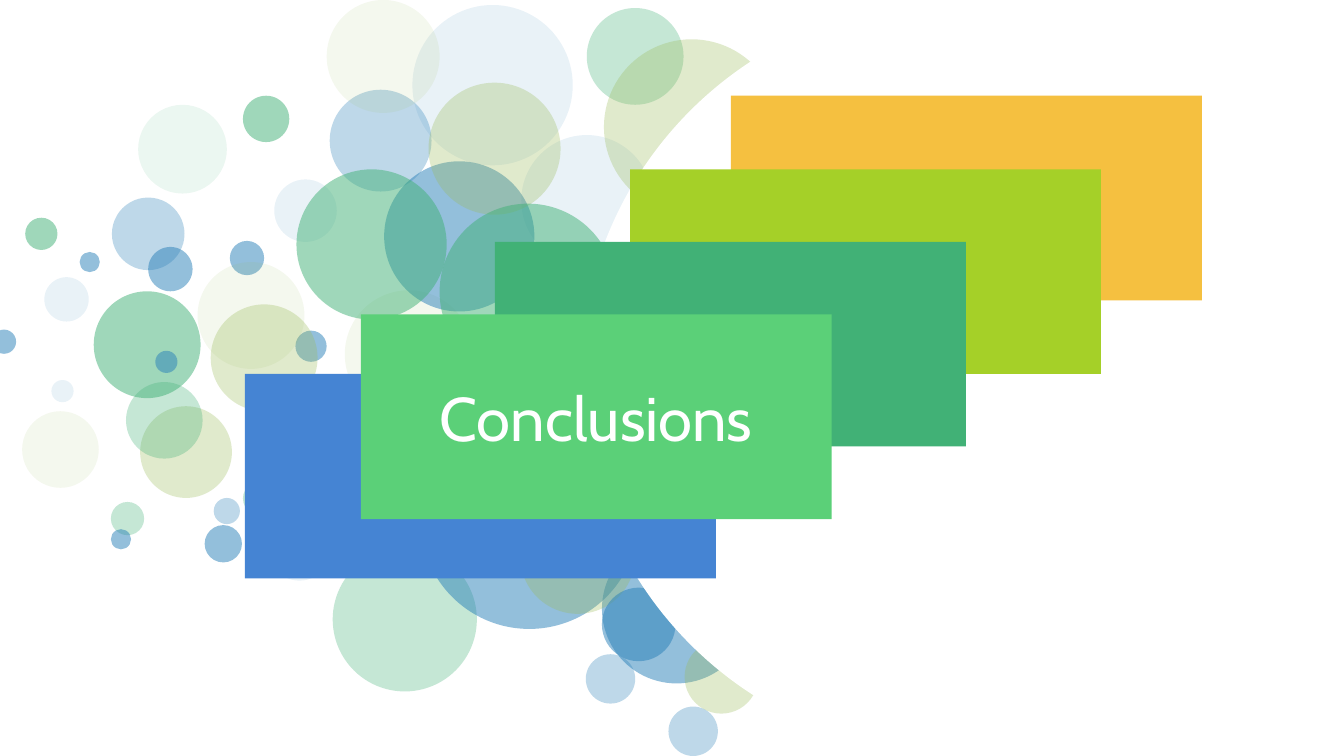
from typing import NamedTuple

import pptx
import pptx.dml.color
import pptx.enum.shapes
import pptx.enum.text
import pptx.oxml
import pptx.oxml.ns
import pptx.util
from pptx.util import Inches

BLUE, GREEN, OLIVE, WHITE = "2980B9", "41B176", "9BBB59", "FFFFFF"
SHAPE = pptx.enum.shapes.MSO_SHAPE
CARD_W, CARD_H = 4.67, 2.03


class Bubble(NamedTuple):
    x: float
    y: float
    size: float
    color: str
    alpha: int


class Card(NamedTuple):
    x: float
    y: float
    color: str
    text: str = ""


BACK_BUBBLES = [
    Bubble(6.24, 3.41, 2.37, GREEN, 30),
    Bubble(5.17, 1.34, 1.3, BLUE, 10),
    Bubble(3.27, 0.89, 1.01, BLUE, 30),
    Bubble(2.72, 1.78, 0.62, BLUE, 10),
    Bubble(3.3, 5.43, 1.43, GREEN, 30),
    Bubble(2.93, 3.28, 0.31, BLUE, 50),
    Bubble(4.84, 2.64, 1.75, BLUE, 50),
    Bubble(6.24, 1.78, 1.74, GREEN, 30),
    Bubble(3.42, 2.88, 1.27, OLIVE, 10),
    Bubble(4.09, 0.05, 1.59, BLUE, 10),
    Bubble(2.41, 0.95, 0.46, GREEN, 50),
    Bubble(3.81, 1.6, 1.49, BLUE, 50),
    Bubble(5.97, 5.3, 1.48, BLUE, 50),
    Bubble(6.63, 7.01, 0.49, BLUE, 30),
    Bubble(6.79, 6.35, 0.73, OLIVE, 30),
    Bubble(4.17, 4.08, 2.16, BLUE, 50),
    Bubble(5.54, 3.02, 2.12, OLIVE, 50),
    Bubble(4.25, 0.82, 1.31, OLIVE, 30),
    Bubble(2.66, 5.14, 0.62, BLUE, 10),
    Bubble(5.82, 0.08, 0.96, GREEN, 30),
    Bubble(4.36, 2.02, 1.75, GREEN, 50),
    Bubble(2.12, 4.94, 0.26, BLUE, 30),
    Bubble(5.99, 0.39, 1.74, OLIVE, 30),
    Bubble(2.09, 3.02, 1.06, OLIVE, 30),
    Bubble(3.24, 0, 1.12, OLIVE, 10),
    Bubble(2.28, 2.39, 0.34, BLUE, 50),
    Bubble(2.94, 1.68, 1.49, GREEN, 50),
    Bubble(5.16, 4.95, 1.14, OLIVE, 30),
    Bubble(5.81, 6.49, 0.49, BLUE, 30),
    Bubble(5.97, 5.83, 0.73, BLUE, 50),
]
WHITE_DISC = Bubble(5.75, 0, 7.49, WHITE, 100)
FRONT_BUBBLES = [
    Bubble(1.11, 1.96, 0.72, BLUE, 30),
    Bubble(1.1, 4.98, 0.33, GREEN, 30),
    Bubble(0.44, 2.75, 0.44, BLUE, 10),
    Bubble(1.37, 1.04, 0.88, GREEN, 10),
    Bubble(0.51, 3.77, 0.22, BLUE, 10),
    Bubble(2.03, 5.21, 0.37, BLUE, 50),
    Bubble(1.39, 4.03, 0.91, OLIVE, 30),
    Bubble(0.25, 2.16, 0.32, GREEN, 50),
    Bubble(1.1, 5.25, 0.2, BLUE, 50),
    Bubble(0.22, 4.08, 0.76, OLIVE, 10),
    Bubble(-0.08, 3.27, 0.24, BLUE, 50),
    Bubble(0.93, 2.89, 1.06, GREEN, 50),
    Bubble(2.41, 4.78, 0.33, GREEN, 30),
    Bubble(1.47, 2.45, 0.44, BLUE, 50),
    Bubble(1.54, 3.48, 0.22, BLUE, 50),
    Bubble(0.79, 2.5, 0.2, BLUE, 50),
    Bubble(1.25, 3.79, 0.76, GREEN, 30),
    Bubble(1.96, 2.6, 1.06, OLIVE, 10),
]
CARDS = [
    Card(2.43, 3.71, "4584D3"),
    Card(7.25, 0.95, "F5C040"),
    Card(6.25, 1.68, "A5D028"),
    Card(4.91, 2.4, "41B176"),
    Card(3.58, 3.12, "5BD078", "Conclusions"),
]


def rgb(color: str) -> pptx.dml.color.RGBColor:
    return pptx.dml.color.RGBColor.from_string(color)


def add_filled(s, kind, x: float, y: float, w: float, h: float, color: str, alpha: int = 100):
    sp = s.shapes.add_shape(kind, Inches(x), Inches(y), Inches(w), Inches(h))
    sp.shadow.inherit = False
    sp.line.fill.background()
    sp.fill.solid()
    sp.fill.fore_color.rgb = rgb(color)
    if alpha < 100:
        clr = sp.fill._xPr.find(".//" + pptx.oxml.ns.qn("a:srgbClr"))
        node = pptx.oxml.parse_xml(f'<a:alpha {pptx.oxml.ns.nsdecls("a")} val="{alpha * 1000}"/>')
        clr.append(node)
    return sp


def set_text(sp, text: str, *, size: float, font: str, color: str) -> None:
    tf = sp.text_frame
    tf.word_wrap = True
    tf.vertical_anchor = pptx.enum.text.MSO_ANCHOR.MIDDLE
    p = tf.paragraphs[0]
    p.alignment = pptx.enum.text.PP_ALIGN.CENTER
    r = p.add_run()
    r.text = text
    r.font.size = pptx.util.Pt(size)
    r.font.name = font
    r.font.color.rgb = rgb(color)


def add_bubble(s, b: Bubble) -> None:
    add_filled(s, SHAPE.OVAL, b.x, b.y, b.size, b.size, b.color, b.alpha)


def add_card(s, card: Card) -> None:
    sp = add_filled(s, SHAPE.RECTANGLE, card.x, card.y, CARD_W, CARD_H, card.color)
    if card.text:
        set_text(sp, card.text, size=44, font="Cabin", color=WHITE)


def main() -> None:
    prs = pptx.Presentation()
    prs.slide_width, prs.slide_height = Inches(13.33), Inches(7.5)
    s = prs.slides.add_slide(prs.slide_layouts[6])
    for bubble in [*BACK_BUBBLES, WHITE_DISC, *FRONT_BUBBLES]:
        add_bubble(s, bubble)
    for card in CARDS:
        add_card(s, card)
    prs.save("out.pptx")


if __name__ == "__main__":
    main()
